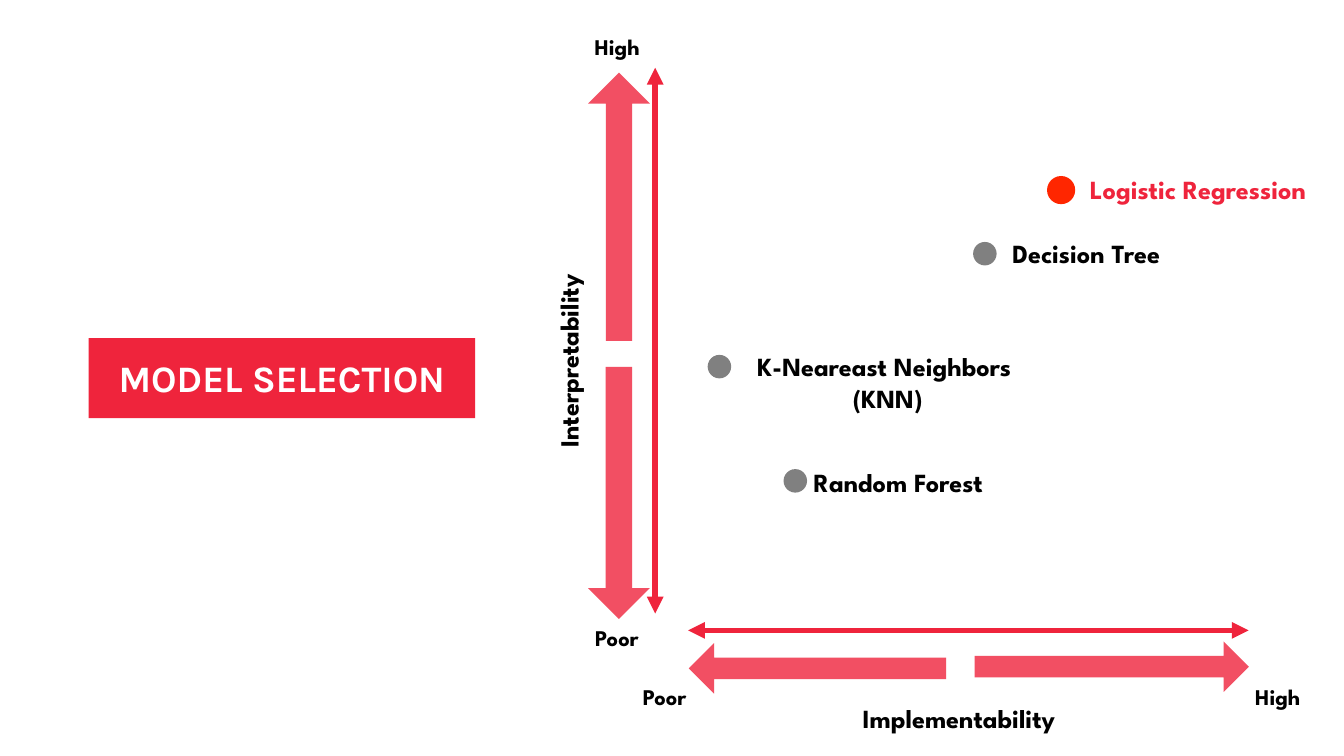
from lxml.etree import SubElement
from pptx import Presentation
from pptx.dml.color import RGBColor
from pptx.enum.shapes import MSO_CONNECTOR, MSO_SHAPE
from pptx.enum.text import MSO_ANCHOR, MSO_AUTO_SIZE, PP_ALIGN
from pptx.oxml import parse_xml
from pptx.oxml.ns import nsdecls, qn
from pptx.util import Pt

COLOURS = {
    "red": "EF243C",
    "chosen": "FF2600",
    "grey": "808080",
    "black": "000000",
    "white": "FFFFFF",
}
LABEL_FONT = "League Spartan"
TITLE_FONT = "Karla"
NAME_SIZE = 28
END_SIZE = 24


def colour(name):
    return RGBColor.from_string(COLOURS[name])


def format_text(frame, size, font_name, colour_name, alignment):
    for para in frame.paragraphs:
        para.alignment = alignment
        for span in para.runs:
            span.font.size = Pt(size)
            span.font.name = font_name
            span.font.bold = True
            span.font.color.rgb = colour(colour_name)


def fill_shape(shape, colour_name):
    shape.shadow.inherit = False
    shape.fill.solid()
    shape.fill.fore_color.rgb = colour(colour_name)
    shape.line.fill.background()


def add_title(page, text, left, top, width, height):
    title = page.shapes.title
    title.left, title.top = Pt(left), Pt(top)
    title.width, title.height = Pt(width), Pt(height)
    title._element.spPr.append(parse_xml(
        f'<a:prstGeom {nsdecls("a")} prst="roundRect"><a:avLst>'
        '<a:gd name="adj" fmla="val 19300"/></a:avLst></a:prstGeom>'))
    fill_shape(title, "red")
    frame = title.text_frame
    frame.text = text
    frame.word_wrap = True
    frame.auto_size = MSO_AUTO_SIZE.NONE
    frame.vertical_anchor = MSO_ANCHOR.MIDDLE
    frame.margin_left = frame.margin_right = Pt(14.4)
    frame.margin_top = frame.margin_bottom = Pt(14.4)
    format_text(frame, 40, TITLE_FONT, "white", PP_ALIGN.CENTER)


def add_block_arrow(page, left, top, width, height, rotation):
    arrow = page.shapes.add_shape(
        MSO_SHAPE.DOWN_ARROW, Pt(left), Pt(top), Pt(width), Pt(height))
    arrow.adjustments[0] = 0.426
    arrow.adjustments[1] = 0.5
    arrow.rotation = rotation
    fill_shape(arrow, "red")
    fill_colour = arrow._element.spPr.find(qn("a:solidFill"))[0]
    SubElement(fill_colour, qn("a:alpha"), val="80000")


def add_axis(page, start_x, start_y, end_x, end_y):
    axis = page.shapes.add_connector(
        MSO_CONNECTOR.STRAIGHT, Pt(start_x), Pt(start_y), Pt(end_x), Pt(end_y))
    axis.line.color.rgb = colour("red")
    axis.line.width = Pt(6)
    line = axis.line._get_or_add_ln()
    for end in ("a:headEnd", "a:tailEnd"):
        SubElement(line, qn(end), type="triangle")
    SubElement(axis._element.spPr, qn("a:effectLst"))


def add_dot(page, left, top, diameter, colour_name):
    dot = page.shapes.add_shape(
        MSO_SHAPE.OVAL, Pt(left), Pt(top), Pt(diameter), Pt(diameter))
    fill_shape(dot, colour_name)


def add_label(page, text, left, top, width, height, size=NAME_SIZE,
              colour_name="black", alignment=PP_ALIGN.LEFT, rotation=0):
    box = page.shapes.add_textbox(Pt(left), Pt(top), Pt(width), Pt(height))
    box.rotation = rotation
    frame = box.text_frame
    frame.text = text
    frame.word_wrap = True
    frame.auto_size = MSO_AUTO_SIZE.SHAPE_TO_FIT_TEXT
    format_text(frame, size, LABEL_FONT, colour_name, alignment)


def main():
    deck = Presentation()
    deck.slide_width, deck.slide_height = Pt(1440), Pt(810)
    page = deck.slides.add_slide(deck.slide_layouts[5])

    add_title(page, "MODEL SELECTION", 95, 362.2, 414, 85.7)

    for arrow in (
        (630, 77.8, 66.2, 287.3, 180),
        (630, 393.1, 66.2, 270, 0),
        (848.9, 578.2, 54, 275.8, 90),
        (1164.2, 567.4, 54, 293.8, 270),
    ):
        add_block_arrow(page, *arrow)

    add_axis(page, 702, 72.7, 702, 657.4)
    add_axis(page, 1337.8, 675.4, 737.3, 675.4)

    add_dot(page, 1121.8, 188.6, 30.2, "chosen")
    for left, top in ((1042.6, 259.2), (758.2, 380.2), (839.5, 502.6)):
        add_dot(page, left, top, 25.2, "grey")

    for text, left, top in (
        ("High", 630, 31.7),
        ("Poor", 630.7, 665.3),
        ("Poor", 681.8, 728.6),
        ("High", 1337.8, 728.6),
    ):
        add_label(page, text, left, top, 72, 36, size=END_SIZE)

    add_label(page, "Interpretability", 499, 356.4, 219.6, 41, rotation=270)
    add_label(page, "Implementability", 917.3, 749.5, 234.7, 41)

    add_label(page, "Logistic Regression", 1160.6, 182.2, 318.2, 41,
              colour_name="red")
    add_label(page, "Decision Tree", 1067.8, 251.3, 192.2, 41,
              alignment=PP_ALIGN.CENTER)
    add_label(page, "K-Neareast Neighbors \n(KNN)", 792, 372.2, 318.2, 74.9,
              alignment=PP_ALIGN.CENTER)
    add_label(page, "Random Forest", 864.7, 496.1, 219.6, 41)

    deck.save("out.pptx")


if __name__ == "__main__":
    main()
